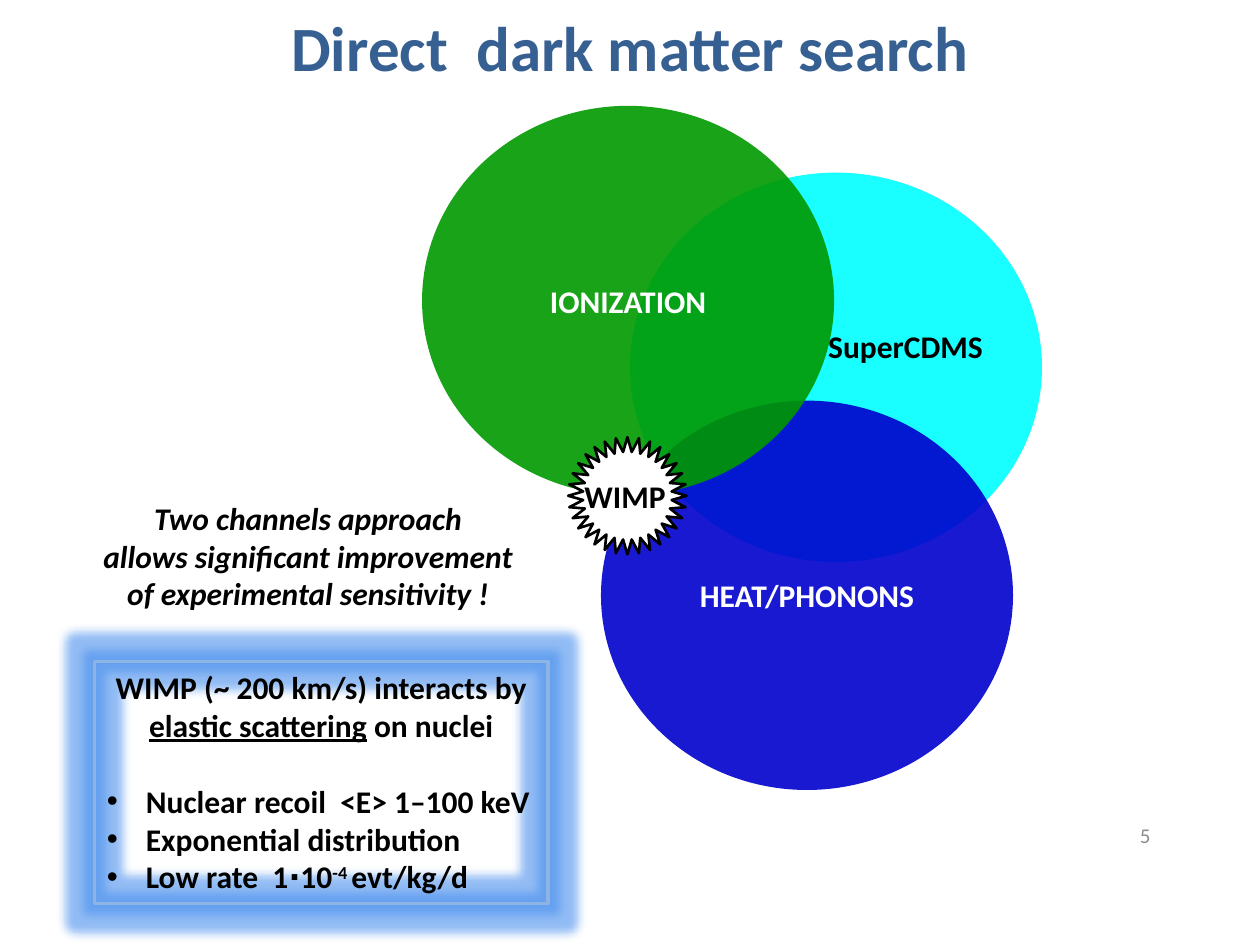
import pptx
import pptx.dml.color
import pptx.enum.shapes
import pptx.enum.text
import pptx.oxml
import pptx.oxml.ns
import pptx.util
from pptx.util import Inches

SHAPE = pptx.enum.shapes.MSO_SHAPE
ALIGN = pptx.enum.text.PP_ALIGN
ANCHOR = pptx.enum.text.MSO_ANCHOR
DRAWING = pptx.oxml.ns.nsdecls("a")


def color(value):
    return pptx.dml.color.RGBColor.from_string(value)


def style(font, size=18, fill="000000", bold=True, italic=False):
    font.name = "Calibri"
    font.size = pptx.util.Pt(size)
    font.color.rgb = color(fill)
    font.bold = bold
    font.italic = italic


def write(shape, lines, align=ALIGN.CENTER, anchor=ANCHOR.TOP, wrap=False, **look):
    """Fill a shape with one paragraph per line; return the paragraphs."""
    frame = shape.text_frame
    frame.text = "\n".join(lines)
    frame.word_wrap = wrap
    frame.vertical_anchor = anchor
    for para in frame.paragraphs:
        para.alignment = align
        for span in para.runs:
            style(span.font, **look)
    return frame.paragraphs


def add_label(page, box, lines, **options):
    label = page.shapes.add_textbox(*map(Inches, box))
    return write(label, lines, **options)


def add_plain_shape(page, kind, box, fill=None, line=None, width=1):
    shape = page.shapes.add_shape(kind, *map(Inches, box))
    shape.shadow.inherit = False
    if fill:
        shape.fill.solid()
        shape.fill.fore_color.rgb = color(fill)
    else:
        shape.fill.background()
    if line:
        shape.line.color.rgb = color(line)
        shape.line.width = pptx.util.Pt(width)
    else:
        shape.line.fill.background()
    return shape


def add_title(page, box):
    title = page.shapes.title
    title.left, title.top, title.width, title.height = map(Inches, box)
    write(title, ["Direct  dark matter search"], anchor=ANCHOR.MIDDLE,
          wrap=True, size=36, fill="376092")


def add_channel(page, box, fill, name=None):
    circle = add_plain_shape(page, SHAPE.OVAL, box, fill)
    solid = circle._element.spPr.find(pptx.oxml.ns.qn("a:solidFill"))
    solid[0].append(pptx.oxml.parse_xml(f'<a:alpha {DRAWING} val="90000"/>'))
    if name:
        write(circle, [name], anchor=ANCHOR.MIDDLE, wrap=True, fill="FFFFFF")


def add_venn(page, left, top):
    """Three overlapping detection channels with the WIMP star."""
    channels = [
        (1.65, 0.53, "00FFFF", None),
        (1.42, 2.34, "0000CC", "HEAT/PHONONS"),
        (0, 0, "009900", "IONIZATION"),
    ]
    for dx, dy, fill, name in channels:
        add_channel(page, (left + dx, top + dy, 3.27, 3.09), fill, name)
    add_label(page, (left + 3.12, top + 1.71, 1.43, 0.4), ["SuperCDMS"],
              align=ALIGN.RIGHT)
    add_plain_shape(page, SHAPE.STAR_32_POINT,
                    (left + 1.16, top + 2.63, 0.94, 0.93), "FFFFFF", "000000", 1.5)
    add_label(page, (left + 1.19, top + 2.9, 0.86, 0.41), ["WIMP"],
              align=ALIGN.LEFT)


def add_bullet(para):
    properties = para._p.get_or_add_pPr()
    properties.set("marL", str(Inches(0.31)))
    properties.set("indent", str(Inches(-0.31)))
    for bullet in ('<a:buFont %s typeface="Arial"/>', '<a:buChar %s char="•"/>'):
        properties.append(pptx.oxml.parse_xml(bullet % DRAWING))
    para.alignment = ALIGN.LEFT


def add_facts(page, box):
    """Glowing frame with the interaction facts."""
    frame = add_plain_shape(page, SHAPE.RECTANGLE, box, line="8EB4E3", width=2)
    effects = frame._element.spPr.find(pptx.oxml.ns.qn("a:effectLst"))
    effects.append(pptx.oxml.parse_xml(
        f'<a:glow {DRAWING} rad="{Inches(0.15)}"><a:srgbClr val="4A90EE">'
        '<a:alpha val="60000"/></a:srgbClr></a:glow>'))
    paras = write(frame, ["WIMP (~ 200 km/s) interacts by ",
                          "Nuclear recoil  <E> 1–100 keV",
                          "Exponential distribution",
                          "Low rate  1⋅10"], wrap=True)
    for para in paras[1:]:
        add_bullet(para)
    paras[1].space_before = pptx.util.Pt(22)

    def extend(para, text):
        span = para.add_run()
        span.text = text
        style(span.font)
        return span

    extend(paras[0], "elastic scattering").font.underline = True
    extend(paras[0], " on nuclei")
    exponent = extend(paras[3], "-4 ")
    exponent._r.get_or_add_rPr().set("baseline", "30000")
    extend(paras[3], "evt/kg/d")


def main():
    deck = pptx.Presentation()
    deck.slide_width, deck.slide_height = Inches(10), Inches(7.5)
    page = deck.slides.add_slide(deck.slide_layouts[5])
    add_title(page, (0.5, -0.26, 9, 1.25))
    add_venn(page, 3.35, 0.84)
    add_label(page, (0.67, 3.91, 3.55, 1.01),
              ["Two channels approach", "allows significant improvement",
               "of experimental sensitivity !"], italic=True)
    add_facts(page, (0.75, 5.25, 3.6, 1.92))
    # Page number
    add_label(page, (7.11, 6.45, 2.12, 0.36), ["5"], align=ALIGN.RIGHT,
              anchor=ANCHOR.MIDDLE, wrap=True, size=12, fill="8C8C8C", bold=False)
    deck.save("out.pptx")


if __name__ == "__main__":
    main()
